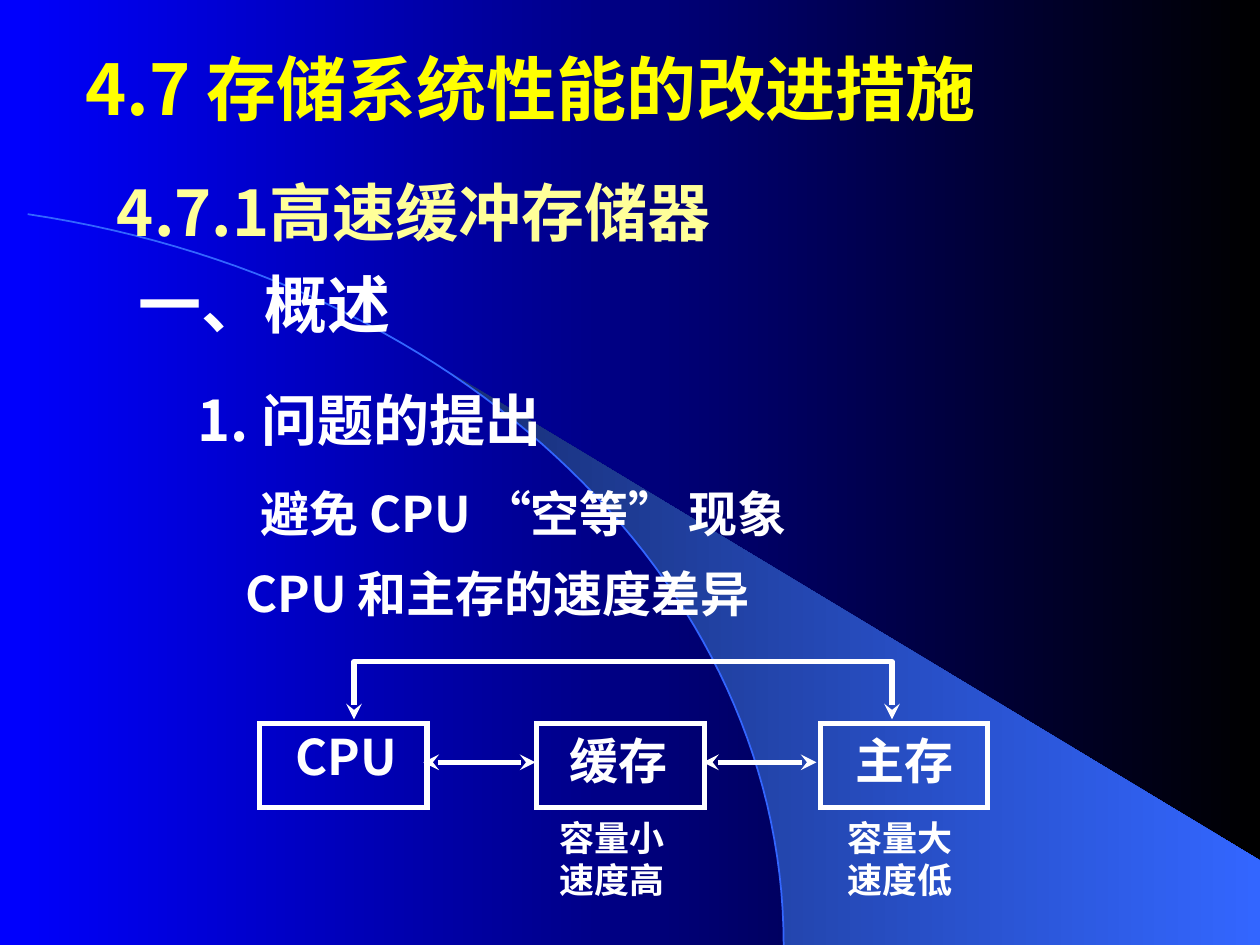
from dataclasses import dataclass

from lxml.etree import SubElement
from pptx import Presentation
from pptx.dml.color import RGBColor
from pptx.enum.lang import MSO_LANGUAGE_ID as Lang
from pptx.enum.shapes import MSO_CONNECTOR as Connector, MSO_SHAPE as Shape
from pptx.enum.text import MSO_ANCHOR as Anchor
from pptx.oxml.ns import qn
from pptx.util import Pt

PX = 9144  # 100 px to the inch
WIDTH, HEIGHT = 1000, 750


@dataclass(frozen=True)
class Theme:
    font: str = "Noto Sans CJK SC"
    title: str = "FFFF00"
    section: str = "FFFF99"
    ink: str = "FFFFFF"
    arc: str = "3366FF"
    background: tuple = ("0000FF", "000000")
    wedge: tuple = ("182F76", "3366FF")
    title_size: int = 40
    section_size: int = 36
    topic_size: int = 32
    body_size: int = 28
    note_size: int = 20
    arc_width: int = 1
    diagram_width: int = 3


THEME = Theme()

# text, left, top, width, height, size, colour, anchor
HEADINGS = [
    ("4.7 存储系统性能的改进措施", 58, 8, 850, 100, THEME.title_size, THEME.title, Anchor.BOTTOM),
    ("4.7.1高速缓冲存储器", 83, 133, 825, 70, THEME.section_size, THEME.section),
    ("一、概述", 100, 206, 345, 70, THEME.section_size),
    ("1. 问题的提出", 147, 301, 333, 64, THEME.topic_size),
    ("避免 CPU “空等” 现象", 197, 379, 520, 57, THEME.body_size),
    ("CPU 和主存的速度差异", 185, 442, 438, 57, THEME.body_size),
]
# label, box left, label left, label top, label width
UNITS = [
    ("CPU", 206, 225, 572, 134),
    ("缓存", 426, 442, 575, 131),
    ("主存", 651, 669, 575, 115),
]
BOX_TOP, BOX_WIDTH, BOX_HEIGHT = 574, 133, 67
NOTES = [("容量小\n速度高", 434), ("容量大\n速度低", 663)]
LINKS = [(336, 425), (558, 648)]
LINK_Y = 605
BYPASS = [(281, 571), (281, 525), (708, 525), (708, 571)]
ARC = [(22, 170), (370, 222), (622, 466), (622, 750)]
ARC_STEPS = 60
WEDGE_TIP, WEDGE_EDGE = (358, 296), (WIDTH, 683)


def set_gradient(fill, colours):
    fill.gradient()
    fill.gradient_angle = 0
    for stop, colour in zip(fill.gradient_stops, colours):
        stop.color.rgb = RGBColor.from_string(colour)


def set_line(shape, colour, width, arrows=False):
    """Style the line and return its XML element."""
    shape.line.color.rgb = RGBColor.from_string(colour)
    shape.line.width = Pt(width)
    ln = shape.element.spPr.find(qn("a:ln"))
    if arrows:
        for end in ("a:headEnd", "a:tailEnd"):
            SubElement(ln, qn(end), type="stealth")
    return ln


def add_text(slide, text, left, top, width, height, size,
             colour=THEME.ink, anchor=Anchor.TOP):
    box = slide.shapes.add_textbox(left * PX, top * PX, width * PX, height * PX)
    frame = box.text_frame
    frame.word_wrap = True
    frame.vertical_anchor = anchor
    frame.text = text
    style = {"name": THEME.font, "size": Pt(size), "bold": True,
             "language_id": Lang.SIMPLIFIED_CHINESE}
    for paragraph in frame.paragraphs:
        for run in paragraph.runs:
            for key, value in style.items():
                setattr(run.font, key, value)
            run.font.color.rgb = RGBColor.from_string(colour)
            SubElement(run.font._element, qn("a:ea"), typeface=THEME.font)


def add_outline(slide, points, close=False):
    """Join the points, kept at EMU precision so that curves stay smooth."""
    start, *rest = [(round(x * PX), round(y * PX)) for x, y in points]
    builder = slide.shapes.build_freeform(*start)
    builder.add_line_segments(rest, close=close)
    outline = builder.convert_to_shape()
    outline.shadow.inherit = False
    outline.fill.background()
    outline.line.fill.background()
    return outline


def add_box(slide, left):
    box = slide.shapes.add_shape(Shape.RECTANGLE, left * PX, BOX_TOP * PX,
                                 BOX_WIDTH * PX, BOX_HEIGHT * PX)
    box.shadow.inherit = False
    box.fill.background()
    ln = set_line(box, THEME.ink, THEME.diagram_width)
    SubElement(ln, qn("a:miter"), lim="800000")


def add_link(slide, start, end):
    link = slide.shapes.add_connector(Connector.STRAIGHT, start * PX, LINK_Y * PX,
                                      end * PX, LINK_Y * PX)
    set_line(link, THEME.ink, THEME.diagram_width, arrows=True)
    SubElement(link.element.spPr, qn("a:effectLst"))


def arc_points():
    """Sample the cubic Bezier curve given by ARC."""
    def at(t):
        weights = ((1 - t) ** 3, 3 * t * (1 - t) ** 2, 3 * t * t * (1 - t), t ** 3)
        return tuple(sum(w * p[axis] for w, p in zip(weights, ARC)) for axis in (0, 1))
    return [at(step / ARC_STEPS) for step in range(ARC_STEPS + 1)]


def add_backdrop(slide):
    set_gradient(slide.background.fill, THEME.background)
    curve = arc_points()
    shore = [point for point in curve if point[0] > WEDGE_TIP[0]]
    wedge = add_outline(slide, [WEDGE_TIP, *shore, (WIDTH, HEIGHT), WEDGE_EDGE], close=True)
    set_gradient(wedge.fill, THEME.wedge)
    set_line(add_outline(slide, curve), THEME.arc, THEME.arc_width)


def add_diagram(slide):
    for label, box_left, left, top, width in UNITS:
        add_text(slide, label, left, top, width, 57, THEME.body_size)
        add_box(slide, box_left)
    set_line(add_outline(slide, BYPASS), THEME.ink, THEME.diagram_width, arrows=True)
    for start, end in LINKS:
        add_link(slide, start, end)
    for note, left in NOTES:
        add_text(slide, note, left, 643, 110, 77, THEME.note_size)


def main():
    deck = Presentation()
    deck.slide_width, deck.slide_height = WIDTH * PX, HEIGHT * PX
    slide = deck.slides.add_slide(deck.slide_layouts[6])
    add_backdrop(slide)
    for heading in HEADINGS:
        add_text(slide, *heading)
    add_diagram(slide)
    deck.save("out.pptx")


if __name__ == "__main__":
    main()
